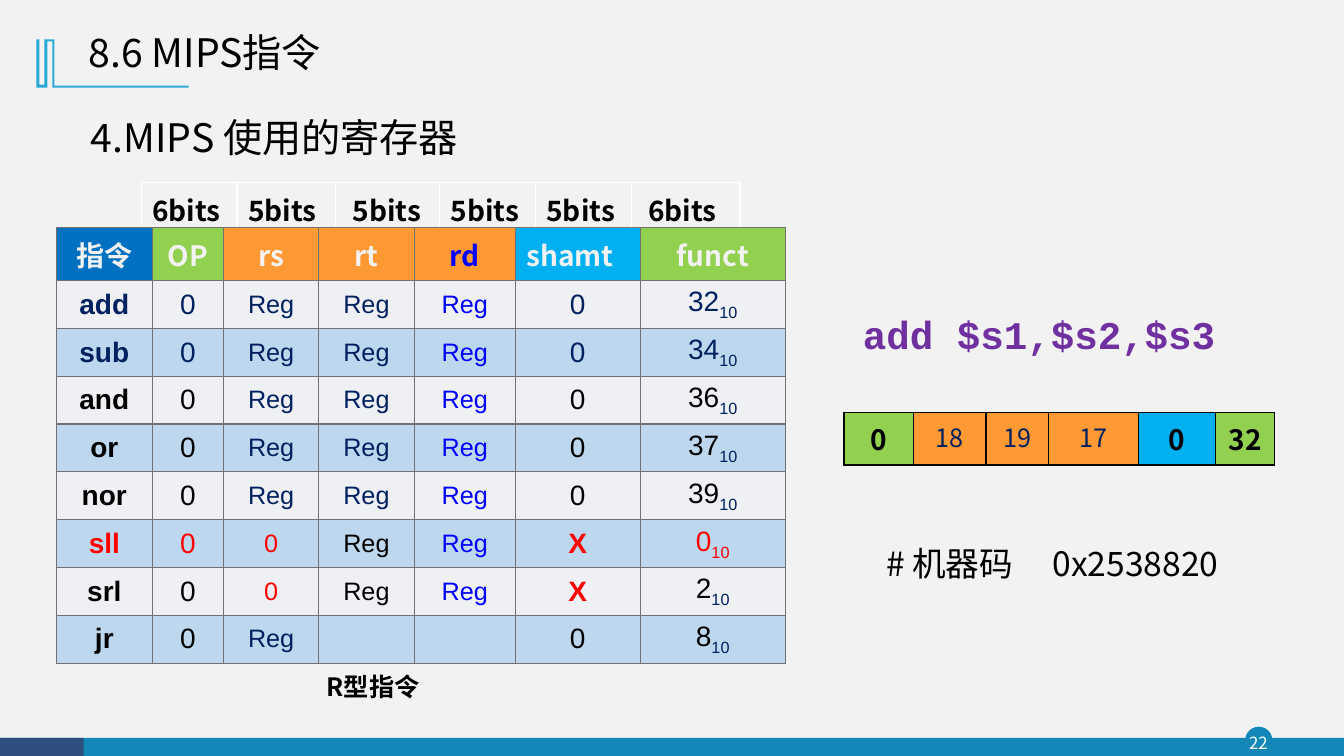
from pptx import Presentation
from pptx.util import Inches, Pt
from pptx.dml.color import RGBColor
from pptx.enum.shapes import MSO_SHAPE
from pptx.enum.text import MSO_ANCHOR, MSO_AUTO_SIZE, PP_ALIGN
from pptx.oxml.ns import qn
from lxml import etree

LEFT, MID = PP_ALIGN.LEFT, PP_ALIGN.CENTER
TOP, CORE = MSO_ANCHOR.TOP, MSO_ANCHOR.MIDDLE
RECT, OVAL = MSO_SHAPE.RECTANGLE, MSO_SHAPE.OVAL

# Content
TITLE = "8.6 MIPS指令"
HEAD = "4.MIPS 使用的寄存器"
CODE = "add $s1,$s2,$s3"
HEX = "# 机器码\t0x2538820"
NOTE = "R型指令"
PAGE = "22"
BITS = ["6bits", "5bits", "5bits", "5bits", "5bits", "6bits"]
FIELDS = [("指令", "deep"), ("OP", "green"), ("rs", "orange"), ("rt", "orange"),
          ("rd", "orange"), ("shamt", "sky"), ("funct", "green")]
# name, rs, rt, rd, shamt, funct, ink
OPS = [
    ("add", "Reg", "Reg", "Reg", "0", "32", "navy"),
    ("sub", "Reg", "Reg", "Reg", "0", "34", "navy"),
    ("and", "Reg", "Reg", "Reg", "0", "36", "black"),
    ("or", "Reg", "Reg", "Reg", "0", "37", "black"),
    ("nor", "Reg", "Reg", "Reg", "0", "39", "black"),
    ("sll", "0", "Reg", "Reg", "X", "0", "red"),
    ("srl", "0", "Reg", "Reg", "X", "2", "black"),
    ("jr", "Reg", "", "", "0", "8", "black"),
]
WORD = [("0", "green"), ("18", "orange"), ("19", "orange"),
        ("17", "orange"), ("0", "sky"), ("32", "green")]
BITS_W = [0.95, 0.98, 1.03, 0.95, 0.95, 1.08]
OPS_W = [0.95, 0.71, 0.94, 0.95, 1, 1.24, 1.44]
WORD_W = [0.69, 0.72, 0.62, 0.89, 0.77, 0.58]
MARK = [(0.54, 0.39), (0.54, 0.85), (1.87, 0.85), (1.87, 0.87), (0.52, 0.87),
        (0.52, 0.41), (0.47, 0.41), (0.47, 0.87), (0.36, 0.87), (0.36, 0.39),
        (0.39, 0.39), (0.39, 0.84), (0.44, 0.84), (0.44, 0.39)]


class Theme:
    ink = dict(
        black="000000", white="FFFFFF", paper="F2F2F2", navy="002060",
        blue="0000FF", red="FF0000", violet="7030A0", deep="0070C0",
        green="92D050", orange="FF9933", sky="00B0F0", band="BDD7EE",
        pale="DEEBF7", grid="767171", edge="060606", teal="1387B7",
        slate="2E4E7E", mark="28A9D6")
    sans, head, arial, mono = ("Noto Sans CJK SC", "Noto Sans CJK JP",
                               "Arial", "Courier New")
    big, mid, cell, small, tiny = 28, 24, 20, 18, 12


T = Theme


def color(name):
    return RGBColor.from_string(T.ink[name])


def put(par, text, size, ink="black", face=T.sans, bold=False, base=0):
    run = par.add_run()
    run.text = text
    font = run.font
    font.size, font.bold, font.name = Pt(size), bold, face
    font.color.rgb = color(ink)
    props = run._r.get_or_add_rPr()
    etree.SubElement(props, qn("a:ea")).set("typeface", face)
    if base:
        props.set("baseline", str(base * 1000))


def place(shape, box):
    shape.left, shape.top, shape.width, shape.height = map(Inches, box)


def setup(shape, wrap=True, anchor=TOP):
    frame = shape.text_frame
    frame.word_wrap, frame.auto_size = wrap, MSO_AUTO_SIZE.NONE
    frame.vertical_anchor = anchor
    return frame


def label(slide, box, align=LEFT):
    frame = setup(slide.shapes.add_textbox(*map(Inches, box)))
    frame.paragraphs[0].alignment = align
    return frame


def paint(shape, ink):
    shape.shadow.inherit = False
    shape.fill.solid()
    shape.fill.fore_color.rgb = color(ink)
    shape.line.fill.background()


def edges(cell, ink, base):
    props = cell._tc.get_or_add_tcPr()
    for i, side in enumerate("LRTB"):
        line = etree.Element(qn("a:ln" + side))
        line.set("w", str(Pt(base if side == "B" else 1)))
        fill = etree.SubElement(line, qn("a:solidFill"))
        etree.SubElement(fill, qn("a:srgbClr")).set("val", T.ink[ink])
        props.insert(i, line)


def tint(cell, ink, alpha=None):
    cell.fill.solid()
    cell.fill.fore_color.rgb = color(ink)
    if alpha:
        tone = next(cell._tc.tcPr.find(qn("a:solidFill")).iterchildren())
        etree.SubElement(tone, qn("a:alpha")).set("val", str(alpha * 1000))


def grid(slide, at, widths, count, tall, ink, base=1, anchor=TOP):
    size = (sum(widths), tall * count)
    table = slide.shapes.add_table(
        count, len(widths), *map(Inches, at + size)).table
    table.first_row = table.horz_banding = False
    for col, wide in zip(table.columns, widths):
        col.width = Inches(wide)
    for cell in table.iter_cells():
        cell.margin_left = cell.margin_right = Inches(0.11)
        cell.margin_top = cell.margin_bottom = Inches(0.06)
        cell.vertical_anchor = anchor
        cell.fill.background()
        edges(cell, ink, base)
    return table


def line(cell, align=MID):
    par = cell.text_frame.paragraphs[0]
    par.alignment = align
    return par


def frame_art(slide):
    # Footer bar, page badge and title mark
    for kind, box, ink in [(OVAL, (12.35, 7.21, 0.27, 0.27), "teal"),
                           (RECT, (0.01, 7.32, 13.32, 0.19), "teal"),
                           (RECT, (0, 7.32, 0.83, 0.19), "slate")]:
        paint(slide.shapes.add_shape(kind, *map(Inches, box)), ink)
    page = label(slide, (12.32, 7.21, 0.32, 0.31), MID)
    page.vertical_anchor = CORE
    page.margin_left = page.margin_right = 0
    page.margin_top = page.margin_bottom = 0
    put(page.paragraphs[0], PAGE, T.tiny, "white")
    points = [(Inches(x), Inches(y)) for x, y in MARK]
    form = slide.shapes.build_freeform(*points[0])
    form.add_line_segments(points[1:], close=True)
    paint(form.convert_to_shape(), "mark")


def heads(slide):
    # Title and section heading
    title, body = slide.shapes.title, slide.placeholders[1]
    place(title, (0.78, 0.23, 2.6, 0.57))
    par = setup(title, wrap=False).paragraphs[0]
    par.alignment = LEFT
    put(par, TITLE, T.big)
    place(body, (0.8, 1.07, 4.56, 0.57))
    par = setup(body).paragraphs[0]
    props = par._p.get_or_add_pPr()
    props.set("marL", "0")
    props.set("indent", "0")
    etree.SubElement(props, qn("a:buNone"))
    par.space_before = Pt(0)
    put(par, HEAD, T.big, face=T.head)


def bits(slide):
    # Field widths above the instruction table
    table = grid(slide, (1.4, 1.81), BITS_W, 1, 0.44, "white", 3)
    for i, text in enumerate(BITS):
        cell = table.cell(0, i)
        if i in (2, 5):
            cell.margin_left = Inches(0.17)
        put(line(cell, LEFT), text, T.cell, bold=True)


def ops(slide):
    # Instruction table
    table = grid(slide, (0.56, 2.26), OPS_W, len(OPS) + 1, 0.46, "grid",
                 anchor=CORE)
    for i, (text, fill) in enumerate(FIELDS):
        cell = table.cell(0, i)
        tint(cell, fill)
        put(line(cell, LEFT if text == "shamt" else MID), text, T.cell,
            "blue" if text == "rd" else "paper", bold=True)
    for row, (name, rs, rt, rd, shamt, funct, ink) in enumerate(OPS, 1):
        shift = rs == "0"
        parts = [(name, T.cell, ink, True), ("0", T.cell, ink, False),
                 (rs, T.small, "red" if shift else "navy", False),
                 (rt, T.small, "black" if shift else "navy", False),
                 (rd, T.small, "blue", False),
                 (shamt, T.cell, "red" if shift else ink, shift),
                 (funct, T.cell, ink, False)]
        for i, (text, size, tone, bold) in enumerate(parts):
            cell = table.cell(row, i)
            if row % 2:
                tint(cell, "pale", 20)
            else:
                tint(cell, "band")
            if text:
                put(line(cell), text, size, tone, T.arial, bold)
        put(line(table.cell(row, 6)), "10", T.cell,
            "red" if ink == "red" else "navy", T.arial, base=-25)
    note = label(slide, (3.02, 6.61, 1.36, 0.4), MID)
    put(note.paragraphs[0], NOTE, T.small, bold=True)


def sample(slide):
    # Worked example: source line, encoded word, machine code
    code = label(slide, (8.46, 3.03, 4.09, 0.55))
    put(code.paragraphs[0], CODE, T.big, "violet", T.mono, True)
    table = grid(slide, (8.37, 4.09), WORD_W, 1, 0.46, "edge", 2)
    for i, (text, fill) in enumerate(WORD):
        cell = table.cell(0, i)
        tint(cell, fill)
        reg = fill == "orange"
        put(line(cell), text, T.small if reg else T.cell,
            "navy" if reg else "black", bold=not reg)
    par = label(slide, (8.69, 5.26, 3.94, 0.55)).paragraphs[0]
    tabs = etree.SubElement(par._p.get_or_add_pPr(), qn("a:tabLst"))
    stop = etree.SubElement(tabs, qn("a:tab"))
    stop.set("pos", str(Inches(1.65)))
    stop.set("algn", "l")
    par.line_spacing = 1.2
    put(par, HEX, T.mid)


def main():
    deck = Presentation()
    deck.slide_width, deck.slide_height = Inches(13.33), Inches(7.5)
    slide = deck.slides.add_slide(deck.slide_layouts[1])
    slide.background.fill.solid()
    slide.background.fill.fore_color.rgb = color("paper")
    for part in (frame_art, heads, bits, ops, sample):
        part(slide)
    deck.save("out.pptx")


if __name__ == "__main__":
    main()
